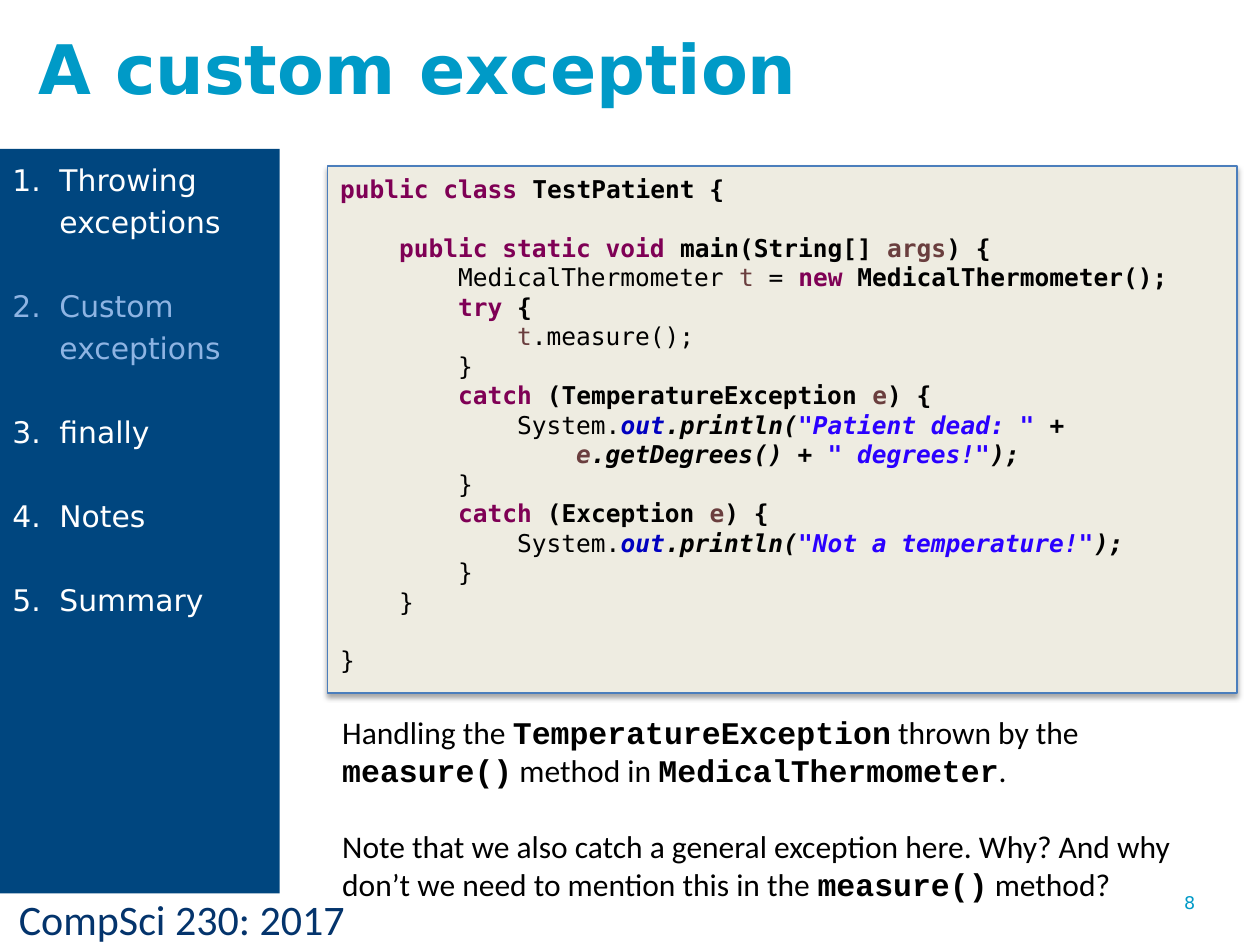
"""Build the slide that explains how a custom exception is caught."""
from dataclasses import dataclass
from typing import NamedTuple, Optional

from lxml.etree import SubElement
from pptx import Presentation
from pptx.dml.color import RGBColor
from pptx.enum.shapes import MSO_SHAPE
from pptx.enum.text import MSO_ANCHOR, MSO_AUTO_SIZE, PP_ALIGN
from pptx.oxml import parse_xml
from pptx.oxml.ns import nsdecls, qn
from pptx.util import Cm, Pt


@dataclass(frozen=True)
class Style:
    font: str
    size: float
    color: str
    bold: bool = False
    italic: bool = False


@dataclass(frozen=True)
class Theme:
    sidebar_fill: str = "00467F"
    panel_fill: str = "EEECE1"
    panel_line: str = "4B7EBC"
    title: Style = Style("DejaVu Sans", 39, "009AC7", bold=True)
    number: Style = Style("DejaVu Sans", 10, "009AC7")
    footer: Style = Style("Calibri", 24, "04346C")
    topic: Style = Style("DejaVu Sans", 17, "FFFFFF")
    current_topic: Style = Style("DejaVu Sans", 17, "8EB4E3")
    prose: Style = Style("Calibri", 18, "000000")
    inline_code: Style = Style("Courier New", 18, "000000", bold=True)
    plain: Style = Style("DejaVu Sans Mono", 14, "000000")
    strong: Style = Style("DejaVu Sans Mono", 14, "000000", bold=True)
    slanted: Style = Style("DejaVu Sans Mono", 14, "000000", bold=True, italic=True)
    keyword: Style = Style("DejaVu Sans Mono", 14, "7F0055", bold=True)
    variable: Style = Style("DejaVu Sans Mono", 14, "6A3E3E")
    argument: Style = Style("DejaVu Sans Mono", 14, "6A3E3E", bold=True)
    slanted_argument: Style = Style("DejaVu Sans Mono", 14, "6A3E3E", bold=True, italic=True)
    field: Style = Style("DejaVu Sans Mono", 14, "0000C0", bold=True, italic=True)
    literal: Style = Style("DejaVu Sans Mono", 14, "2A00FF", bold=True, italic=True)


class Box(NamedTuple):
    left: float
    top: float
    width: float
    height: float


class Run(NamedTuple):
    text: str
    style: Style


@dataclass(frozen=True)
class Block:
    runs: list[Run]
    margin: float = 0
    indent: float = 0
    space_before: float = 0
    line_spacing: Optional[float] = None
    numbered: bool = False


class CodeLine(NamedTuple):
    level: int
    runs: list[Run]
    gap_before: bool = False
    hanging: int = 0


THEME = Theme()
CODE_INDENT = 1.19
CODE_LEADING = 16.85
TOPIC_LEADING = 24
TOPIC_INDENT = 0.95
PROSE_GAP = 22

TOPICS = ["Throwing exceptions", "Custom exceptions", "finally", "Notes", "Summary"]
CURRENT_TOPIC = "Custom exceptions"


def catch_line(exception: str) -> CodeLine:
    """Return the opening line of a catch clause."""
    return CodeLine(2, [Run("catch", THEME.keyword), Run(f" ({exception} ", THEME.strong),
                        Run("e", THEME.argument), Run(") {", THEME.strong)])


def print_line(runs: list[Run], hanging: int = 0) -> CodeLine:
    """Return a print statement around the given argument runs."""
    return CodeLine(3, [Run("System.", THEME.plain), Run("out", THEME.field),
                        Run(".println(", THEME.slanted), *runs, Run(");", THEME.slanted)],
                    hanging=hanging)


def closing(level: int, gap_before: bool = False) -> CodeLine:
    """Return a closing brace at the given level."""
    return CodeLine(level, [Run("}", THEME.plain)], gap_before)


CODE = [
    CodeLine(0, [Run("public class ", THEME.keyword), Run("TestPatient {", THEME.strong)]),
    CodeLine(1, [Run("public static void", THEME.keyword), Run(" main(String[] ", THEME.strong),
                 Run("args", THEME.argument), Run(") {", THEME.strong)], gap_before=True),
    CodeLine(2, [Run("MedicalThermometer ", THEME.plain), Run("t", THEME.variable),
                 Run(" = ", THEME.plain), Run("new ", THEME.keyword),
                 Run("MedicalThermometer();", THEME.strong)]),
    CodeLine(2, [Run("try", THEME.keyword), Run(" {", THEME.strong)]),
    CodeLine(3, [Run("t", THEME.variable), Run(".measure();", THEME.plain)]),
    closing(2),
    catch_line("TemperatureException"),
    print_line([Run('"Patient dead: "', THEME.literal), Run(" + \n", THEME.slanted),
                Run("e", THEME.slanted_argument), Run(".getDegrees() + ", THEME.slanted),
                Run('" degrees!"', THEME.literal)], hanging=1),
    closing(2),
    catch_line("Exception"),
    print_line([Run('"Not a temperature!"', THEME.literal)]),
    closing(2),
    closing(1),
    closing(0, gap_before=True),
]

PROSE = [
    [Run("Handling the ", THEME.prose), Run("TemperatureException", THEME.inline_code),
     Run(" thrown by the ", THEME.prose), Run("measure()", THEME.inline_code),
     Run(" method in ", THEME.prose), Run("MedicalThermometer", THEME.inline_code),
     Run(".", THEME.prose)],
    [Run("Note that we also catch a general exception here. Why? And why don’t we need "
         "to mention this in the ", THEME.prose),
     Run("measure()", THEME.inline_code), Run(" method?", THEME.prose)],
]


def add_run(paragraph, run: Run) -> None:
    """Append a styled run, turning newlines into line breaks."""
    for position, text in enumerate(run.text.split("\n")):
        if position:
            paragraph.add_line_break()
        if text:
            piece = paragraph.add_run()
            piece.text = text
            font = piece.font
            font.name, font.size = run.style.font, Pt(run.style.size)
            font.bold, font.italic = run.style.bold, run.style.italic
            font.color.rgb = RGBColor.from_string(run.style.color)


def write(shape, blocks: list[Block], anchor=MSO_ANCHOR.TOP) -> None:
    """Fill the shape with left-aligned paragraphs."""
    frame = shape.text_frame
    frame.word_wrap, frame.auto_size = True, MSO_AUTO_SIZE.NONE
    frame.vertical_anchor = anchor
    for position, block in enumerate(blocks):
        paragraph = frame.add_paragraph() if position else frame.paragraphs[0]
        paragraph.alignment = PP_ALIGN.LEFT
        paragraph.space_before = Pt(block.space_before)
        if block.line_spacing:
            paragraph.line_spacing = Pt(block.line_spacing)
        properties = paragraph._p.get_or_add_pPr()
        properties.set("marL", str(Cm(block.margin)))
        properties.set("indent", str(Cm(block.indent)))
        if block.numbered:
            SubElement(properties, qn("a:buAutoNum"), type="arabicPeriod")
        else:
            SubElement(properties, qn("a:buNone"))
        for run in block.runs:
            add_run(paragraph, run)


def place(shape, box: Box) -> None:
    """Move and size a shape."""
    shape.left, shape.top, shape.width, shape.height = map(Cm, box)


def add_text(slide, box: Box, blocks: list[Block]) -> None:
    """Add a wrapping text box."""
    write(slide.shapes.add_textbox(*map(Cm, box)), blocks)


def add_rectangle(slide, box: Box, fill: str, line: Optional[str] = None):
    """Add a filled rectangle, outlined when a line colour is given."""
    shape = slide.shapes.add_shape(MSO_SHAPE.RECTANGLE, *map(Cm, box))
    shape.shadow.inherit = False
    shape.fill.solid()
    shape.fill.fore_color.rgb = RGBColor.from_string(fill)
    if line:
        shape.line.color.rgb = RGBColor.from_string(line)
        shape.line.width = Pt(0.75)
    else:
        shape.line.fill.background()
    return shape


def add_shadow(shape) -> None:
    """Give the shape a soft shadow falling downwards."""
    shape.element.spPr.find(qn("a:effectLst")).append(parse_xml(
        f'<a:outerShdw {nsdecls("a")} blurRad="{Pt(3.1)}" dist="{Pt(1.8)}" dir="5400000" '
        'rotWithShape="0"><a:srgbClr val="000000"><a:alpha val="35000"/></a:srgbClr></a:outerShdw>'))


def code_block(line: CodeLine) -> Block:
    """Turn a code line into an indented paragraph."""
    return Block(line.runs, CODE_INDENT * (line.level + line.hanging), -CODE_INDENT * line.hanging,
                 CODE_LEADING if line.gap_before else 0, CODE_LEADING)


def topic_block(topic: str) -> Block:
    """Turn a topic into a numbered paragraph."""
    style = THEME.current_topic if topic == CURRENT_TOPIC else THEME.topic
    return Block([Run(topic, style)], TOPIC_INDENT, -TOPIC_INDENT,
                 TOPIC_LEADING if topic != TOPICS[0] else 0, TOPIC_LEADING, numbered=True)


def main() -> None:
    """Build and save the presentation."""
    presentation = Presentation()
    presentation.slide_width, presentation.slide_height = Cm(25.4), Cm(19.05)
    slide = presentation.slides.add_slide(presentation.slide_layouts[1])
    title, body = slide.shapes.title, slide.placeholders[1]

    panel = add_rectangle(slide, Box(6.6, 3.35, 18.34, 10.62), THEME.panel_fill, THEME.panel_line)
    add_shadow(panel)
    title.element.addprevious(panel.element)

    place(title, Box(0.53, 0.36, 18.11, 1.98))
    write(title, [Block([Run("A custom exception", THEME.title)])], MSO_ANCHOR.MIDDLE)
    place(body, Box(6.6, 3.38, 18.52, 10.59))
    write(body, [code_block(line) for line in CODE])

    add_text(slide, Box(0.13, 17.88, 10.29, 1.27), [Block([Run("CompSci 230: 2017", THEME.footer)])])
    add_text(slide, Box(23.62, 17.86, 1.78, 1.32), [Block([Run("8", THEME.number)])])
    add_text(slide, Box(6.65, 14.25, 17.86, 4.11),
             [Block(runs, space_before=PROSE_GAP * min(position, 1))
              for position, runs in enumerate(PROSE)])
    sidebar = add_rectangle(slide, Box(0, 3, 5.64, 15.01), THEME.sidebar_fill)
    write(sidebar, [topic_block(topic) for topic in TOPICS])
    presentation.save("out.pptx")


if __name__ == "__main__":
    main()
